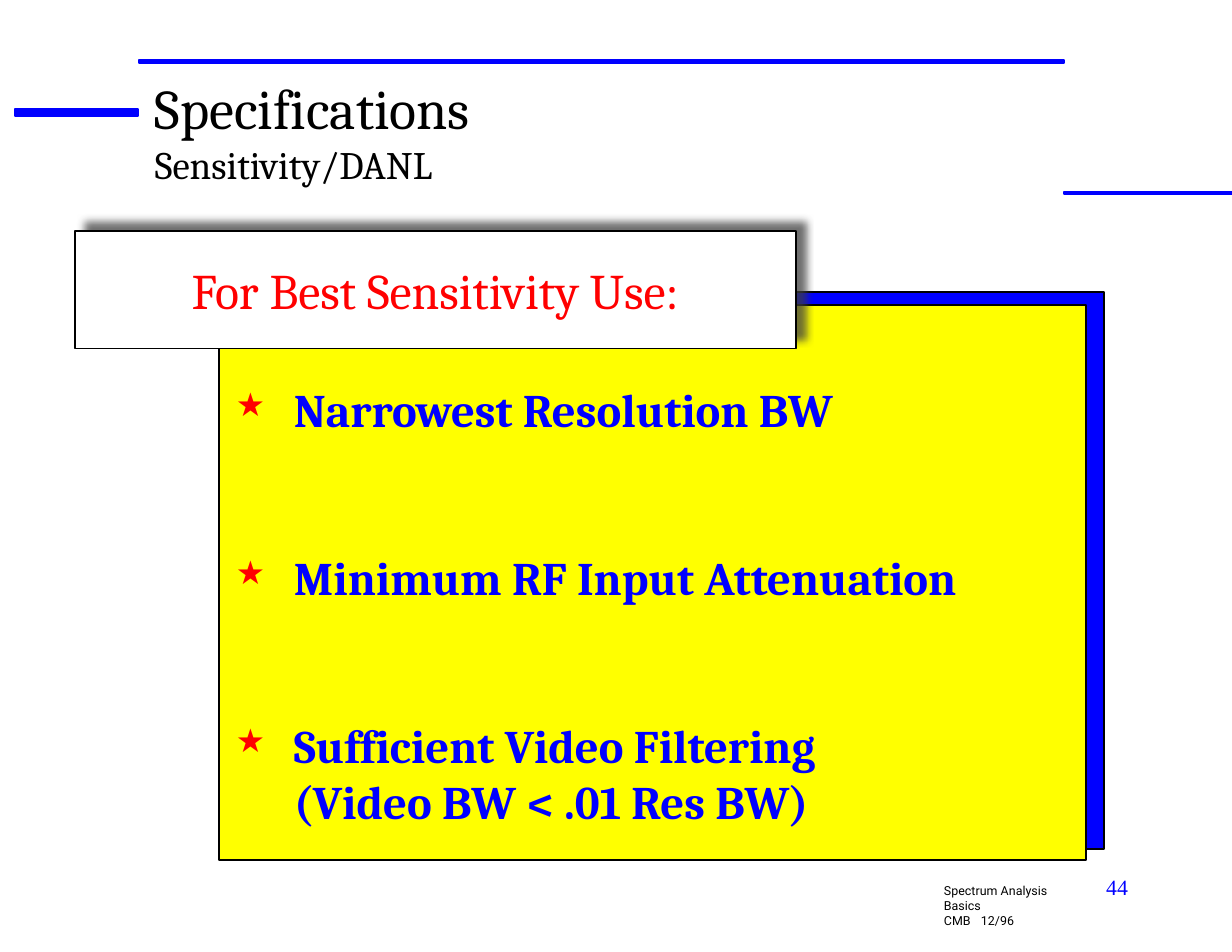
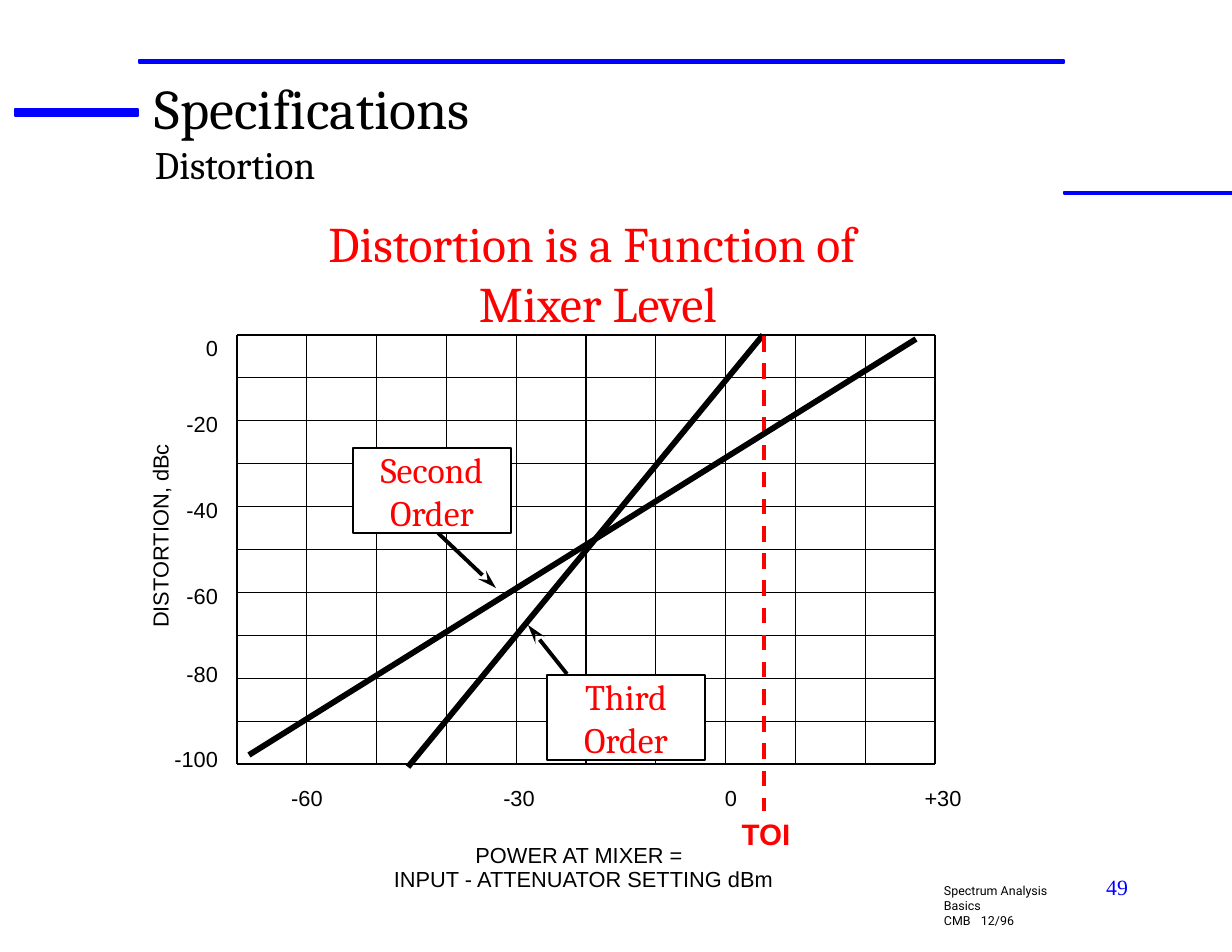
from lxml import etree
from pptx import Presentation
from pptx import util as u
from pptx.dml.color import RGBColor
from pptx.enum import dml, shapes, text
from pptx.oxml import ns

SCALE = 914400 / 112  # EMU in one px
BLUE, RED, YELLOW, BLACK, WHITE = "0000FF", "FF0000", "FFFF00", "000000", "FFFFFF"
SERIF, SANS, FOOTER, NUMBER = "Cambria", "Arial", "Roboto", "Times New Roman"
LEFT, CENTER, RIGHT = text.PP_ALIGN.LEFT, text.PP_ALIGN.CENTER, text.PP_ALIGN.RIGHT
TOP, MIDDLE, BOTTOM = text.MSO_ANCHOR.TOP, text.MSO_ANCHOR.MIDDLE, text.MSO_ANCHOR.BOTTOM


def px(length):
    return u.Emu(round(length * SCALE))


def color(value):
    return RGBColor.from_string(value)


def element(parent, tag, **attributes):
    return etree.SubElement(parent, ns.qn(tag), attributes)


class Page:
    """The deck style together with the slide being built."""

    def __init__(self, deck):
        self.deck = deck
        self.slide = None

    def start(self, title, subtitle, number):
        self.slide = self.deck.slides.add_slide(self.deck.slide_layouts[5])
        # Bands
        for area in ((15, 109, 123, 7), (139, 60, 925, 3), (1064, 192, 168, 2)):
            self.panel(area, BLUE, BLUE)
        # Title
        heading = self.slide.shapes.title
        heading.left, heading.top, heading.width, heading.height = map(px, (155, 73, 983, 112))
        self.set_text(heading, [title, subtitle], 36, BLACK)
        heading.text_frame.paragraphs[1].font.size = u.Pt(25)
        # Footer and page number
        footer = self.label((944, 883, 130, 45), ["Spectrum Analysis Basics", "CMB\t12/96"], 8,
                            BLACK, FOOTER)
        self.tab_stop(footer.text_frame.paragraphs[1], 37)
        self.label((899, 874, 229, 54), [number], 14, BLUE, NUMBER, RIGHT)

    def set_text(self, box, lines, size, ink, font=SERIF, align=LEFT, anchor=TOP, bold=False):
        frame = box.text_frame
        frame.text = "\n".join(lines)
        frame.word_wrap = True
        frame.auto_size = text.MSO_AUTO_SIZE.NONE
        frame.vertical_anchor = anchor
        frame.margin_left = frame.margin_right = frame.margin_top = frame.margin_bottom = 0
        for para in frame.paragraphs:
            para.alignment = align
            para.font.name, para.font.size, para.font.bold = font, u.Pt(size), bold
            para.font.color.rgb = color(ink)

    def label(self, area, lines, size, ink, font=SERIF, align=LEFT, anchor=TOP, bold=False):
        box = self.slide.shapes.add_textbox(*map(px, area))
        self.set_text(box, lines, size, ink, font, align, anchor, bold)
        return box

    def axis_text(self, area, line, align=CENTER):
        return self.label(area, [line], 14, BLACK, SANS, align, BOTTOM)

    def panel(self, area, fill, outline=BLACK, weight=1.5, rounded=True):
        kinds = shapes.MSO_SHAPE
        kind = kinds.ROUNDED_RECTANGLE if rounded else kinds.RECTANGLE
        box = self.slide.shapes.add_shape(kind, *map(px, area))
        if rounded:
            box.adjustments[0] = 0
        box.shadow.inherit = False
        box.fill.solid()
        box.fill.fore_color.rgb = color(fill)
        box.line.color.rgb = color(outline)
        box.line.width = u.Pt(weight)
        return box

    def callout(self, area, lines, size, weight=1.5):
        box = self.panel(area, WHITE, weight=weight, rounded=False)
        self.set_text(box, lines, size, RED, align=CENTER, anchor=MIDDLE)
        return box

    def cast_shadow(self, box):
        effects = box._element.spPr.find(ns.qn("a:effectLst"))
        shadow = element(effects, "a:outerShdw", blurRad=str(u.Pt(5)), dist=str(u.Pt(8.5)),
                         dir=str(315 * 60000), algn="ctr", rotWithShape="0")
        tint = element(shadow, "a:srgbClr", val="404040")
        element(tint, "a:alpha", val="75000")

    def line(self, start, end, weight=0.75, ink=BLACK, dashed=False, arrow=False):
        stroke = self.slide.shapes.add_connector(shapes.MSO_CONNECTOR.STRAIGHT,
                                                 *map(px, start + end))
        stroke.line.color.rgb = color(ink)
        stroke.line.width = u.Pt(weight)
        if dashed:
            stroke.line.dash_style = dml.MSO_LINE.DASH
        properties = stroke._element.spPr
        if arrow:
            outline = properties.find(ns.qn("a:ln"))
            element(outline, "a:tailEnd", type="stealth", w="med", len="lg")
        element(properties, "a:effectLst")

    def tab_stop(self, para, position):
        properties = para._p.get_or_add_pPr()
        tabs = etree.Element(ns.qn("a:tabLst"))
        element(tabs, "a:tab", pos=str(px(position)), algn="l")
        properties.find(ns.qn("a:defRPr")).addprevious(tabs)

    def star_list(self, area, items, size, hang, gap):
        box = self.slide.shapes.add_textbox(*map(px, area))
        frame = box.text_frame
        frame.text = "\n".join(items)
        for index, para in enumerate(frame.paragraphs):
            properties = para._p.get_or_add_pPr()
            properties.set("marL", str(px(hang)))
            properties.set("indent", str(-px(hang)))
            element(element(properties, "a:buClr"), "a:srgbClr", val=RED)
            element(properties, "a:buSzPct", val="70000")
            element(properties, "a:buChar", char="★")
            if index:
                para.space_before = u.Pt(gap)
        self.style_list(frame, size)

    def style_list(self, frame, size):
        frame.word_wrap = True
        frame.margin_left = frame.margin_right = frame.margin_top = frame.margin_bottom = 0
        for para in frame.paragraphs:
            para.font.name, para.font.size, para.font.bold = SERIF, u.Pt(size), True
            para.font.color.rgb = color(BLUE)


def sensitivity(page):
    page.start("Specifications", "Sensitivity/DANL", "44")
    # Yellow card on its blue backing
    page.panel((231, 292, 873, 557), BLUE)
    page.panel((219, 305, 867, 555), YELLOW)
    page.star_list((236, 381, 850, 470),
                   ["Narrowest Resolution BW", "Minimum RF Input Attenuation",
                    "Sufficient Video Filtering\v(Video BW < .01 Res BW)"],
                   size=30, hang=58, gap=72)
    # Heading plate
    plate = page.callout((75, 231, 721, 118), ["For Best Sensitivity Use:"], 32, 0.75)
    page.cast_shadow(plate)


def distortion(page):
    page.start("Specifications", "Distortion", "49")
    page.label((243, 213, 710, 132), ["Distortion is a Function of ", "Mixer Level"], 32, RED,
               align=CENTER)
    # Axis titles and scale values
    page.axis_text((468, 841, 222, 27), "POWER AT MIXER =")
    page.axis_text((381, 838, 405, 54), "INPUT - ATTENUATOR SETTING dBm")
    page.axis_text((44, 523, 232, 26), "DISTORTION, dBc").rotation = 270
    levels = {"0": 334, "-20": 410, "-40": 496, "-60": 582, "-80": 660, "-100": 745}
    for value, top in levels.items():
        page.axis_text((158, top, 60, 27), value, RIGHT)
    for index, value in enumerate(("-60", "-30", "0", "+30")):
        page.axis_text((277 + 212 * index, 784, 60, 27), value)
    # Grid of ten by ten cells
    left, top, width, height, cells = 237, 335, 698, 429, 10
    for index in range(cells + 1):
        x = left + width * index / cells
        y = top + height * index / cells
        page.line((x, top), (x, top + height))
        page.line((left, y), (left + width, y))
    # Distortion curves and intercept
    page.line((763, 335), (408, 767), 3.75)
    page.line((764, 336), (764, 811), 2.5, RED, dashed=True)
    page.line((916, 339), (249, 755), 3.75)
    page.label((733, 815, 66, 36), ["TOI"], 19, RED, SANS, CENTER, BOTTOM, bold=True)
    # Callouts with arrows to their curves
    page.line((438, 533), (496, 588), 2.5, arrow=True)
    page.line((567, 674), (528, 625), 2.5, arrow=True)
    page.callout((353, 448, 158, 85), ["Second", "Order"], 23)
    page.callout((547, 675, 158, 85), ["Third", "Order"], 23)


def main():
    deck = Presentation()
    deck.slide_width, deck.slide_height = px(1232), px(952)
    page = Page(deck)
    sensitivity(page)
    distortion(page)
    deck.save("out.pptx")


if __name__ == "__main__":
    main()
